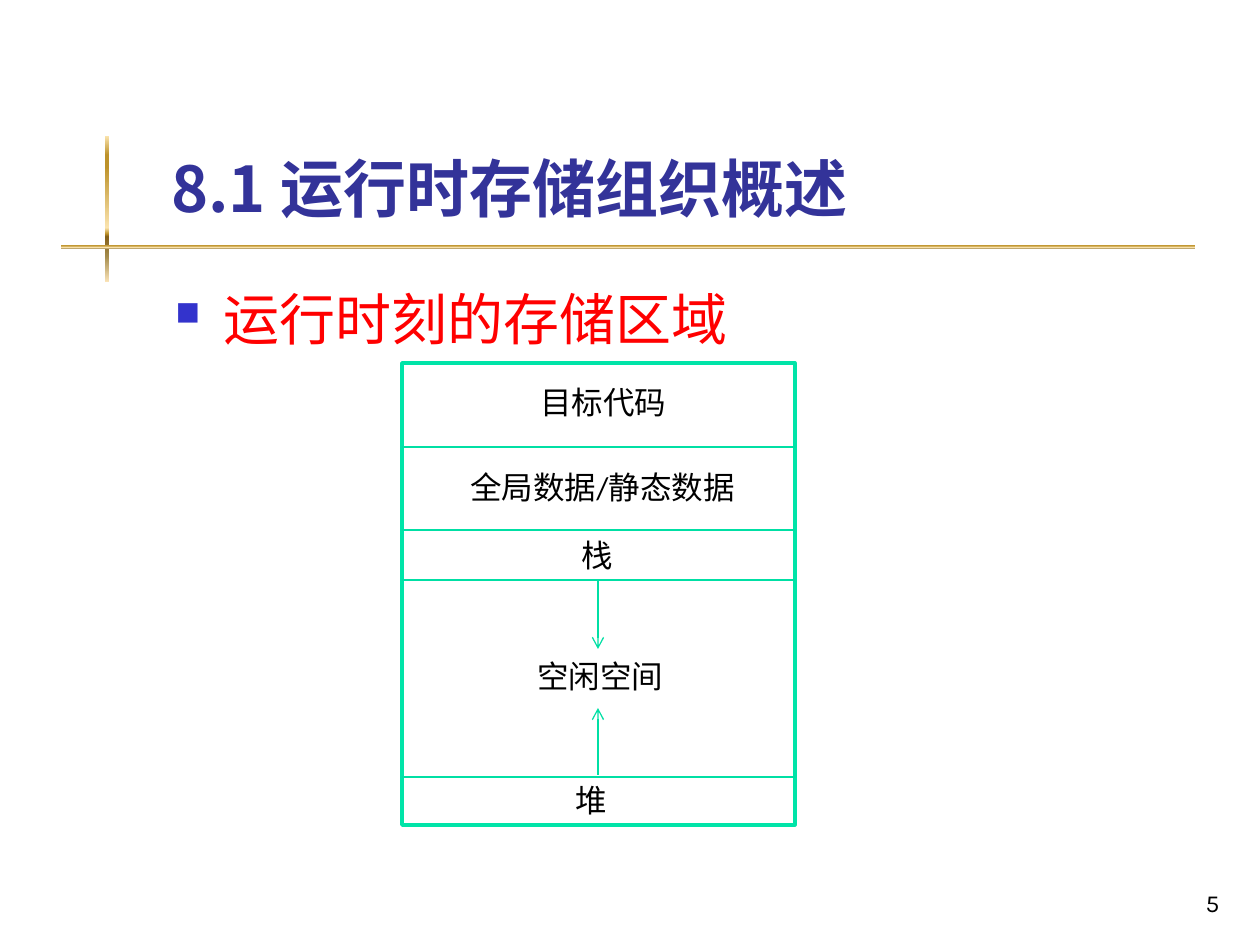
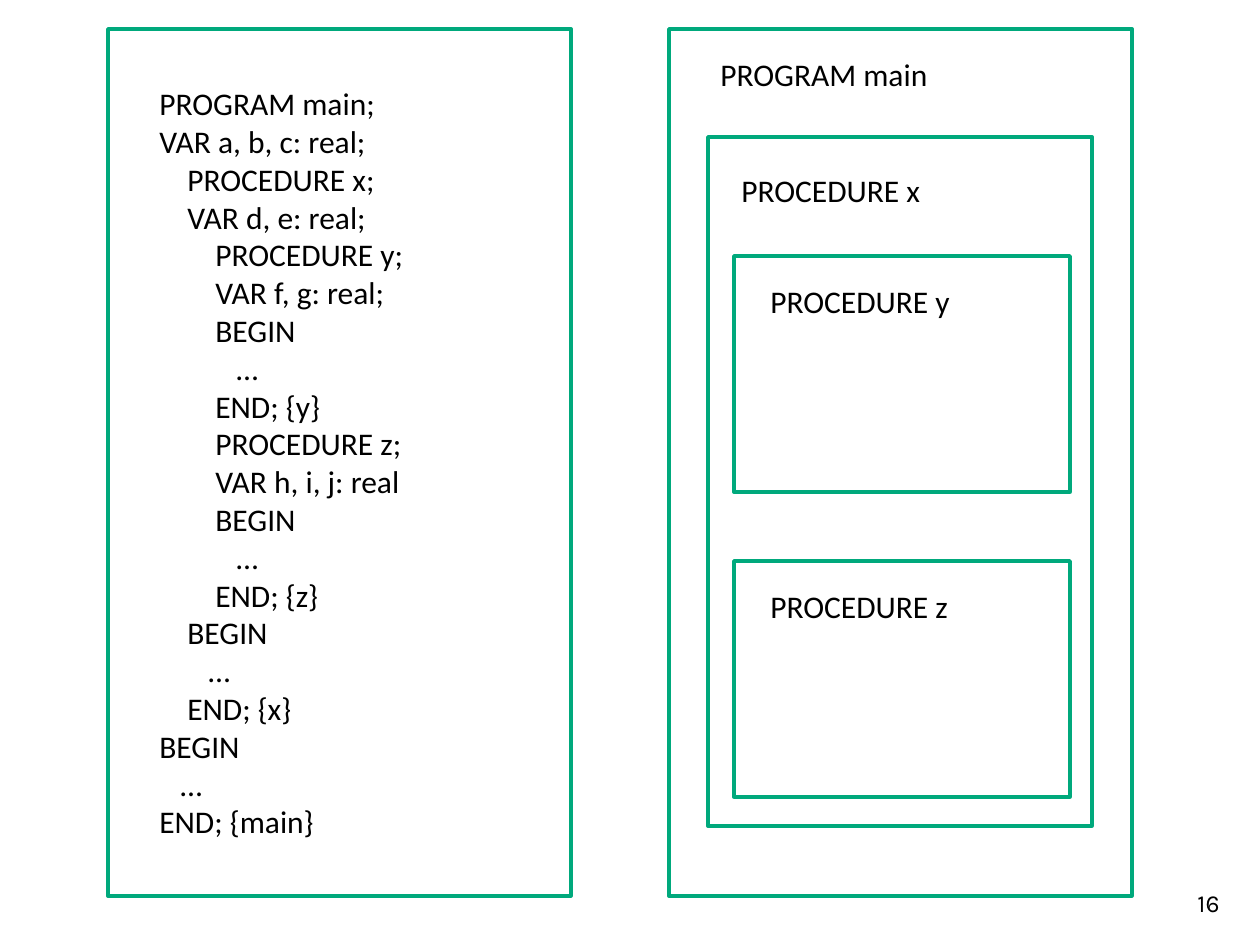
import lxml.etree
import pptx
import pptx.dml.color
import pptx.enum.shapes
import pptx.enum.text
import pptx.oxml
import pptx.oxml.ns
import pptx.util

RGB = pptx.dml.color.RGBColor
ALIGN = pptx.enum.text.PP_ALIGN
ANCHOR = pptx.enum.text.MSO_ANCHOR
qn = pptx.oxml.ns.qn

WHITE = RGB(0xFF, 0xFF, 0xFF)
BLACK = RGB(0x00, 0x00, 0x00)
NAVY = RGB(0x33, 0x33, 0x99)
BLUE = RGB(0x33, 0x33, 0xCC)
RED = RGB(0xFF, 0x00, 0x00)
MINT = RGB(0x00, 0xE4, 0xA8)
TEAL = RGB(0x00, 0xDF, 0xA4)
GREEN = RGB(0x00, 0xA9, 0x7C)
CREAM = RGB(0xFB, 0xE4, 0xAE)
GOLD = RGB(0xBD, 0x92, 0x2A)
BROWN = RGB(0x83, 0x5E, 0x17)
OLIVE = RGB(0xA2, 0x89, 0x49)
SAND = RGB(0xFA, 0xE3, 0xB7)
BRASS = [(0, CREAM), (13, GOLD), (21, GOLD), (63, CREAM),
         (67, GOLD), (69, BROWN), (82, OLIVE), (100, SAND)]

CJK = "Noto Sans CJK JP"
LATIN = "Calibri"
NUMBER = "Karla"

SCALE = 914400 / 126
SPACE = 7  # width of one code space, in px

# Leading spaces and words of each code line
CODE = [
    (0, "PROGRAM main;"), (0, "VAR a, b, c: real;"),
    (4, "PROCEDURE x;"), (4, "VAR d, e: real;"),
    (8, "PROCEDURE y;"), (8, "VAR f, g: real;"),
    (8, "BEGIN"), (11, "…"), (8, "END; {y}"),
    (8, "PROCEDURE z;"), (8, "VAR h, i, j: real"),
    (8, "BEGIN"), (11, "…"), (8, "END; {z}"),
    (4, "BEGIN"), (7, "…"), (4, "END; {x}"),
    (0, "BEGIN"), (3, "…"), (0, "END; {main}"),
]


def px(n):
    return pptx.util.Emu(round(n * SCALE))


def add_text(slide, box, lines, size=18, font=LATIN, color=BLACK,
             bold=False, align=ALIGN.LEFT, anchor=ANCHOR.TOP):
    """Adds a text box; lines are pairs of indent in px and words."""
    shape = slide.shapes.add_textbox(*map(px, box))
    frame = shape.text_frame
    frame.word_wrap = True
    frame.vertical_anchor = anchor
    frame.text = "\n".join(words for _, words in lines)
    for para, (indent, _) in zip(frame.paragraphs, lines):
        para.alignment = align
        if indent:
            para._p.get_or_add_pPr().set("marL", str(px(indent)))
        for run in para.runs:
            run.font.size = pptx.util.Pt(size)
            run.font.name = font
            run.font.bold = bold
            run.font.color.rgb = color
            east = lxml.etree.SubElement(run._r.get_or_add_rPr(), qn("a:ea"))
            east.set("typeface", CJK)
    return frame


def add_box(slide, box, line=None, fill=None):
    shape = slide.shapes.add_shape(
        pptx.enum.shapes.MSO_SHAPE.RECTANGLE, *map(px, box))
    shape.shadow.inherit = False
    if fill is None:
        shape.fill.background()
    else:
        shape.fill.solid()
        shape.fill.fore_color.rgb = fill
    if line is None:
        shape.line.fill.background()
    else:
        shape.line.color.rgb = line
        shape.line.width = pptx.util.Pt(2)
    return shape


def add_bar(slide, box):
    """Adds a thin bar with the brass gradient, running top to bottom."""
    shape = add_box(slide, box)
    shape.fill.gradient()
    grad = shape._element.spPr.find(qn("a:gradFill"))
    stops = grad.find(qn("a:gsLst"))
    for stop in list(stops):
        stops.remove(stop)
    for place, color in BRASS:
        stop = lxml.etree.SubElement(stops, qn("a:gs"), pos=str(place * 1000))
        lxml.etree.SubElement(stop, qn("a:srgbClr"), val=str(color))
    grad.find(qn("a:lin")).set("ang", "5400000")


def add_line(slide, x1, y1, x2, y2, arrow=False):
    line = slide.shapes.add_connector(
        pptx.enum.shapes.MSO_CONNECTOR.STRAIGHT, *map(px, (x1, y1, x2, y2)))
    line.line.color.rgb = TEAL
    line.line.width = pptx.util.Pt(0.75)
    if arrow:
        lxml.etree.SubElement(line.line._get_or_add_ln(), qn("a:tailEnd"),
                              type="arrow")
    lxml.etree.SubElement(line._element.spPr, qn("a:effectLst"))


def add_number(slide, number):
    add_text(slide, (970, 861, 262, 63), [(0, str(number))], 14, NUMBER,
             align=ALIGN.RIGHT, anchor=ANCHOR.BOTTOM)


def add_title(slide, words):
    add_bar(slide, (105, 136, 4, 146))
    add_bar(slide, (61, 245, 1134, 4))
    add_text(slide, (159, 29, 1074, 202), [(0, words)], 36, CJK, NAVY,
             bold=True, anchor=ANCHOR.BOTTOM)


def add_bullet(slide, words):
    frame = add_text(slide, (163, 278, 1071, 567), [(48, words)],
                     32, CJK, RED)
    props = frame.paragraphs[0]._p.get_or_add_pPr()
    props.set("indent", str(-px(48)))
    color = lxml.etree.SubElement(props, qn("a:buClr"))
    lxml.etree.SubElement(color, qn("a:srgbClr"), val=str(BLUE))
    lxml.etree.SubElement(props, qn("a:buSzPct"), val="60000")
    lxml.etree.SubElement(props, qn("a:buChar"), char="■")


def add_memory(slide, box):
    """Draws the storage areas, with stack and heap growing inwards."""
    left, top, width, height = box
    right, mid = left + width, left + width // 2
    add_box(slide, box, MINT, WHITE)
    for y in (84, 167, 217, 414):
        add_line(slide, left, top + y, right, top + y)
    for y, indent, words in [(14, 126, "目标代码"), (99, 56, "全局数据/静态数据"),
                             (167, 167, "栈"), (412, 161, "堆")]:
        add_text(slide, (left, top + y, width, 50), [(indent, words)])
    add_text(slide, (left + 89, top + 288, 218, 50), [(0, "空闲空间")],
             font=NUMBER, align=ALIGN.CENTER)
    for start, end in [(217, 286), (412, 345)]:
        add_line(slide, mid, top + start, mid, top + end, arrow=True)


def add_code(slide, box):
    left, top, width, height = box
    add_box(slide, box, GREEN)
    add_text(slide, (left + 39, top + 49, width - 74, height - 91),
             [(spaces * SPACE, words) for spaces, words in CODE])


def add_nest(slide, box):
    """Draws the program and its procedures as boxes within boxes."""
    left, top, width, height = box
    parts = [
        ((0, 0, width, height), (39, 20), "PROGRAM main"),
        ((39, 108, 384, 689), (21, 28), "PROCEDURE x"),
        ((65, 227, 336, 236), (24, 20), "PROCEDURE y"),
        ((65, 532, 336, 236), (24, 20), "PROCEDURE z"),
    ]
    for (x, y, wide, high), (dx, dy), words in parts:
        add_box(slide, (left + x, top + y, wide, high), GREEN)
        add_text(slide, (left + x + dx, top + y + dy, 276, 50), [(0, words)])


def draw_storage(slide):
    add_title(slide, "8.1 运行时存储组织概述")
    add_bullet(slide, "运行时刻的存储区域")
    add_memory(slide, (402, 363, 393, 462))
    add_number(slide, 5)


def draw_scopes(slide):
    for add_panel, left in [(add_code, 108), (add_nest, 669)]:
        add_panel(slide, (left, 29, 463, 867))
    add_number(slide, 16)


def main():
    deck = pptx.Presentation()
    deck.slide_width, deck.slide_height = px(1260), px(945)
    for draw in (draw_storage, draw_scopes):
        draw(deck.slides.add_slide(deck.slide_layouts[6]))
    deck.save("out.pptx")


if __name__ == "__main__":
    main()
